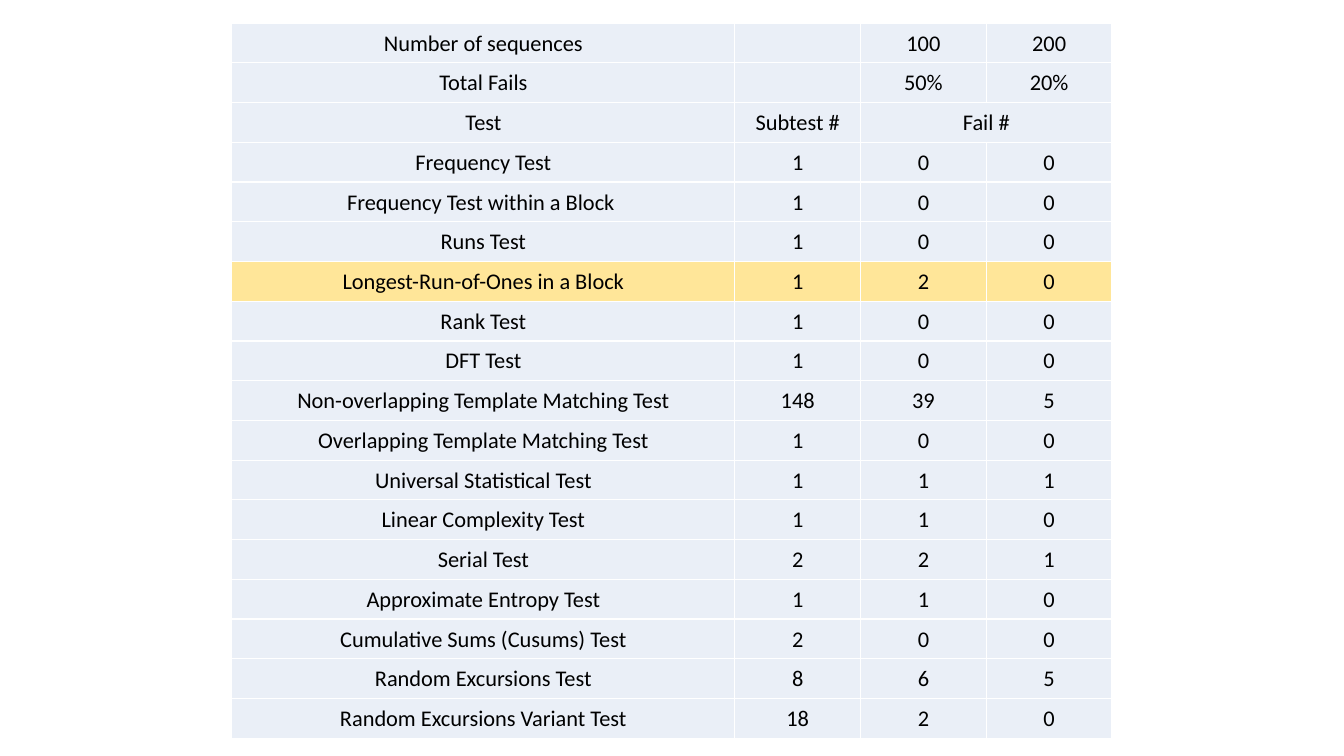
from lxml.etree import SubElement
from pptx import Presentation
from pptx.dml.color import RGBColor
from pptx.enum.text import MSO_ANCHOR, PP_ALIGN
from pptx.oxml.ns import qn
from pptx.util import Inches, Pt

PALE_BLUE = RGBColor(0xEA, 0xEF, 0xF7)
HIGHLIGHT = RGBColor(0xFF, 0xE6, 0x99)
BLACK = RGBColor(0, 0, 0)
WHITE = RGBColor(0xFF, 0xFF, 0xFF)

# Table place in inches, and column widths as shares of its width
LEFT, TOP, WIDTH, HEIGHT = 2.3, 0.23, 8.73, 7.1
COLUMN_SHARES = (4, 1, 1, 1)

HEADER_ROWS = [
    ("Number of sequences", "", "100", "200"),
    ("Total Fails", "", "50%", "20%"),
    ("Test", "Subtest #", "Fail #", ""),
]
# Test, number of subtests, fails with 100 and with 200 sequences
TEST_ROWS = [
    ("Frequency Test", 1, 0, 0),
    ("Frequency Test within a Block ", 1, 0, 0),
    ("Runs Test", 1, 0, 0),
    ("Longest-Run-of-Ones in a Block", 1, 2, 0),
    ("Rank Test", 1, 0, 0),
    ("DFT Test", 1, 0, 0),
    ("Non-overlapping Template Matching Test", 148, 39, 5),
    ("Overlapping Template Matching Test", 1, 0, 0),
    ("Universal Statistical Test", 1, 1, 1),
    ("Linear Complexity Test", 1, 1, 0),
    ("Serial Test", 2, 2, 1),
    ("Approximate Entropy Test", 1, 1, 0),
    ("Cumulative Sums (Cusums) Test", 2, 0, 0),
    ("Random Excursions Test", 8, 6, 5),
    ("Random Excursions Variant Test", 18, 2, 0),
]
HIGHLIGHTED_TEST = "Longest-Run-of-Ones in a Block"


def add_borders(cell):
    properties = cell._tc.get_or_add_tcPr()
    for side in ("lnL", "lnR", "lnT", "lnB"):
        border = SubElement(properties, qn(f"a:{side}"), w=str(Pt(1)))
        fill = SubElement(border, qn("a:solidFill"))
        SubElement(fill, qn("a:srgbClr"), val=str(WHITE))


def style_cell(cell, color):
    # Borders come before the fill in the cell's XML
    add_borders(cell)
    cell.fill.solid()
    cell.fill.fore_color.rgb = color
    cell.vertical_anchor = MSO_ANCHOR.MIDDLE
    cell.margin_left = cell.margin_right = cell.margin_top = Inches(0.01)
    cell.margin_bottom = 0


def write_cell(cell, text):
    paragraph = cell.text_frame.paragraphs[0]
    paragraph.alignment = PP_ALIGN.CENTER
    run = paragraph.add_run()
    run.text = text
    run.font.name = "Calibri"
    run.font.size = Pt(16)
    run.font.bold = False
    run.font.color.rgb = BLACK


def add_results_table(slide, rows):
    frame = slide.shapes.add_table(
        len(rows), len(COLUMN_SHARES),
        Inches(LEFT), Inches(TOP), Inches(WIDTH), Inches(HEIGHT))
    results = frame.table
    results.first_row = results.horz_banding = False

    for column, share in zip(results.columns, COLUMN_SHARES):
        column.width = Inches(WIDTH * share / sum(COLUMN_SHARES))
    for row, values in zip(results.rows, rows):
        row.height = Inches(HEIGHT / len(rows))
        color = HIGHLIGHT if values[0] == HIGHLIGHTED_TEST else PALE_BLUE
        for cell, value in zip(row.cells, values):
            style_cell(cell, color)
            if value != "":
                write_cell(cell, str(value))
    return results


def main():
    deck = Presentation()
    deck.slide_width, deck.slide_height = Inches(13.33), Inches(7.5)
    slide = deck.slides.add_slide(deck.slide_layouts[6])

    results = add_results_table(slide, HEADER_ROWS + TEST_ROWS)
    # "Fail #" heads both sequence columns
    fail_row = len(HEADER_ROWS) - 1
    results.cell(fail_row, 2).merge(results.cell(fail_row, 3))

    deck.save("out.pptx")


if __name__ == "__main__":
    main()
